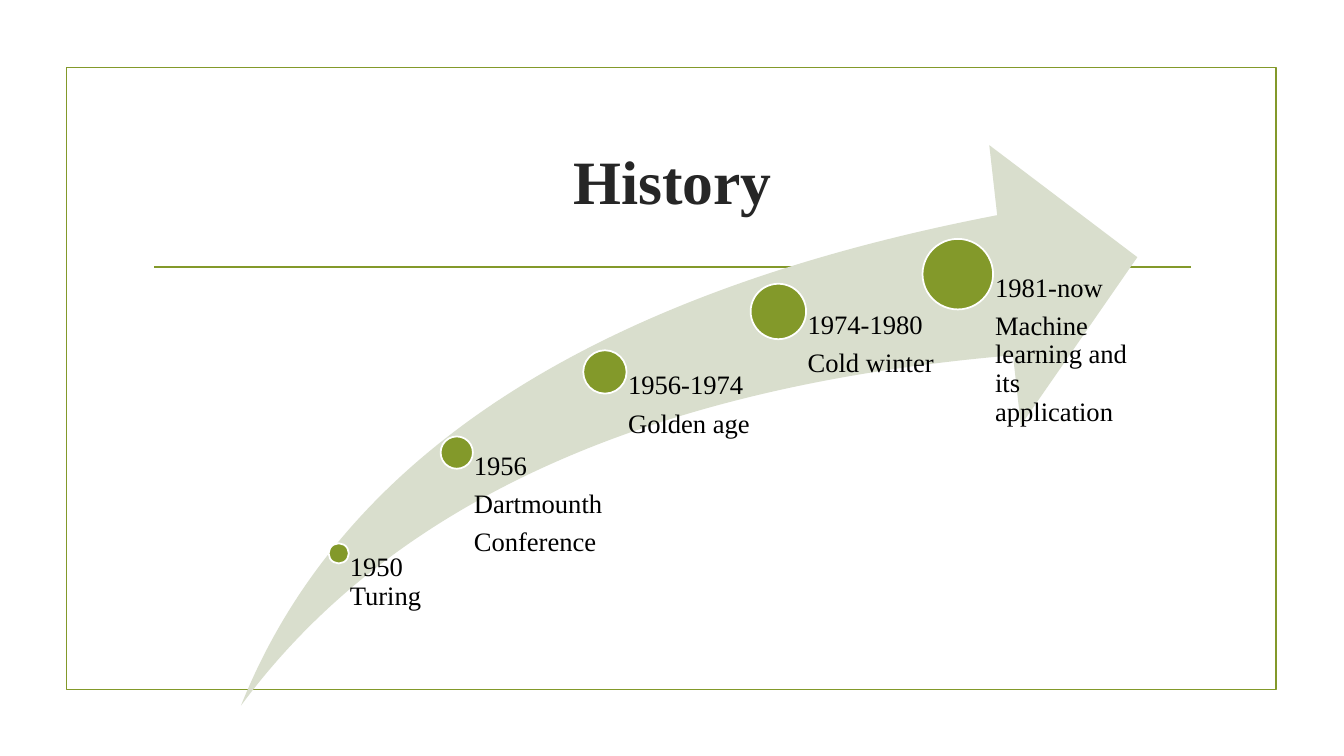
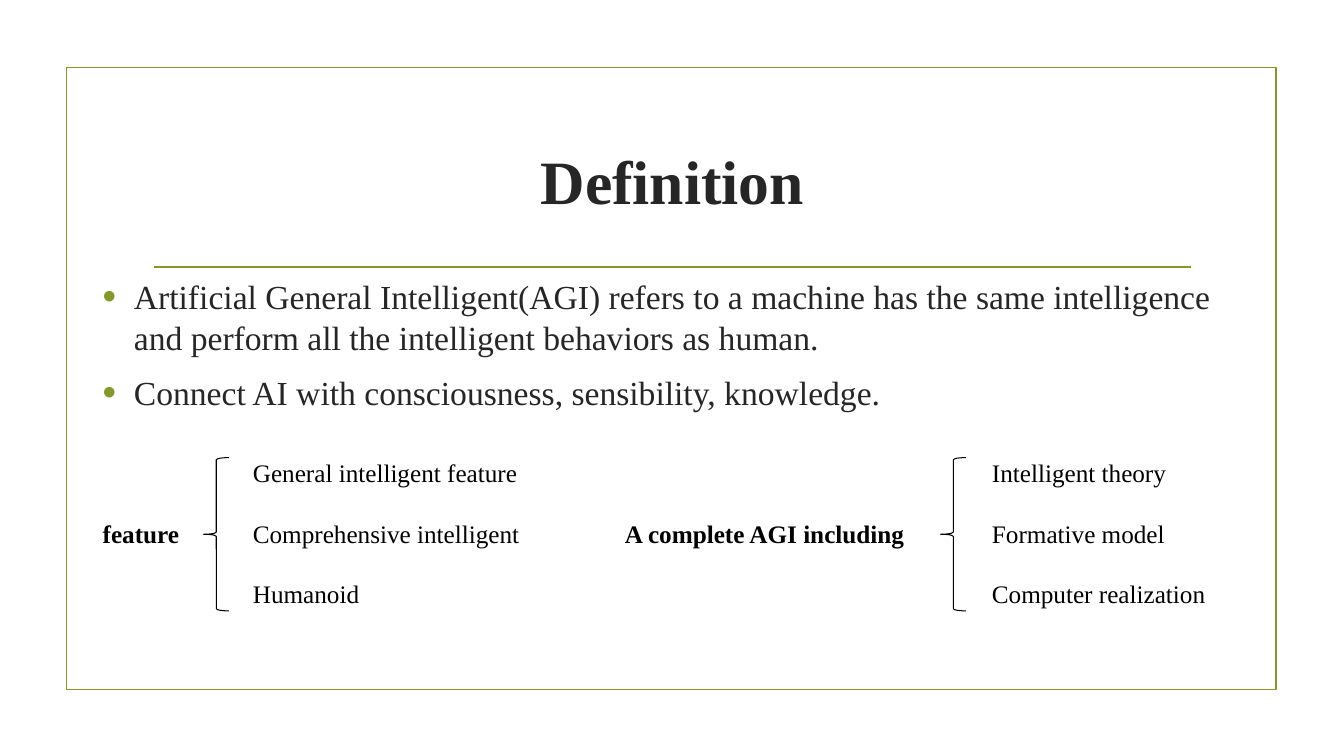
"""Build two slides on artificial intelligence: its history and a definition."""
from lxml.etree import SubElement
from pptx import Presentation
from pptx.dml.color import RGBColor
from pptx.enum.shapes import MSO_CONNECTOR, MSO_SHAPE
from pptx.enum.text import MSO_ANCHOR, PP_ALIGN
from pptx.oxml.ns import qn
from pptx.util import Inches, Pt

FONT = "Times New Roman"
GREEN, PALE, INK, BLACK, WHITE = "83992A", "D9DECD", "262626", "000000", "FFFFFF"


def add_shape(s, kind, x, y, w, h, fill=None, line=None, weight=1.25):
    sp = s.shapes.add_shape(kind, Inches(x), Inches(y), Inches(w), Inches(h))
    sp.shadow.inherit = False
    for part, color in ((sp.fill, fill), (sp.line.fill, line)):
        if color:
            part.solid()
            part.fore_color.rgb = RGBColor.from_string(color)
        else:
            part.background()
    if line:
        sp.line.width = Pt(weight)
    return sp


def add_text(s, x, y, w, h, lines, size, color=BLACK, bold=False, after=0):
    tf = s.shapes.add_textbox(Inches(x), Inches(y), Inches(w), Inches(h)).text_frame
    tf.word_wrap = True
    for i, line in enumerate(lines):
        p = tf.add_paragraph() if i else tf.paragraphs[0]
        p.space_after = Pt(after)
        r = p.add_run()
        r.text = line
        r.font.name, r.font.size, r.font.bold = FONT, Pt(size), bold
        r.font.color.rgb = RGBColor.from_string(color)
    return tf


prs = Presentation()
prs.slide_width, prs.slide_height = Inches(13.33), Inches(7.5)

slides = []
for title in ("History", "Definition"):
    s = prs.slides.add_slide(prs.slide_layouts[6])
    add_shape(s, MSO_SHAPE.RECTANGLE, 0.66, 0.67, 12, 6.17, line=GREEN)
    rule = s.shapes.add_connector(
        MSO_CONNECTOR.STRAIGHT, Inches(1.53), Inches(2.65), Inches(11.81), Inches(2.65))
    rule.line.color.rgb = RGBColor.from_string(GREEN)
    rule.line.width = Pt(1.25)
    SubElement(rule.element.spPr, qn("a:effectLst"))
    tf = add_text(s, 1.42, 1.07, 10.5, 1.43, [title], 44, INK, True)
    tf.vertical_anchor = MSO_ANCHOR.MIDDLE
    tf.paragraphs[0].alignment = PP_ALIGN.CENTER
    slides.append(s)
history, definition = slides

swoosh = add_shape(history, MSO_SHAPE.SWOOSH_ARROW, 2.39, 1.44, 8.89, 5.56, PALE)
swoosh.adjustments[0] = swoosh.adjustments[1] = 0.25

LABEL_BOTTOM = 6.81
milestones = [
    (3.36, 5.49, 0.2, 1.16, 0.11, ["1950 Turing"]),
    (4.53, 4.49, 0.32, 1.48, 0.17, ["1956", "Dartmounth", "Conference"]),
    (6, 3.69, 0.43, 1.72, 0.23, ["1956-1974", "Golden age"]),
    (7.72, 3.09, 0.55, 1.78, 0.29, ["1974-1980", "Cold winter"]),
    (9.5, 2.72, 0.7, 1.78, 0.37, ["1981-now", "Machine learning and its application"]),
]
for x, y, dot, width, inset, lines in milestones:
    add_shape(history, MSO_SHAPE.OVAL, x - dot / 2, y - dot / 2, dot, dot, GREEN, WHITE)
    tf = add_text(history, x, y, width, LABEL_BOTTOM - y, lines, 19, after=6.65)
    tf.margin_left = Inches(inset)
    tf.margin_top = tf.margin_right = tf.margin_bottom = 0
    for p in tf.paragraphs:
        p.line_spacing = 0.9

points = [
    "Artificial General Intelligent(AGI) refers to a machine has the same intelligence "
    "and perform all the intelligent behaviors as human.",
    "Connect AI with consciousness, sensibility, knowledge.",
]
tf = add_text(definition, 0.92, 2.69, 11.5, 1.62, points, 24, INK, after=6)
for p in tf.paragraphs:
    p.space_before = Pt(4.8)
    pPr = p._p.get_or_add_pPr()
    pPr.set("marL", str(Inches(0.31)))
    pPr.set("indent", str(-Inches(0.31)))
    SubElement(SubElement(pPr, qn("a:buClr")), qn("a:srgbClr"), val=GREEN)
    SubElement(pPr, qn("a:buSzPct"), val="115000")
    SubElement(pPr, qn("a:buFont"), typeface="Arial")
    SubElement(pPr, qn("a:buChar"), char="•")

groups = [
    (0.92, 1.04, "feature", 2.02, 2.41,
     ["General intelligent feature", "Comprehensive intelligent", "Humanoid"]),
    (6.1, 3.23, "A complete AGI including", 9.33, 9.74,
     ["Intelligent theory", "Formative model", "Computer realization"]),
]
for x, width, heading, brace_x, list_x, items in groups:
    add_shape(definition, MSO_SHAPE.LEFT_BRACE, brace_x, 4.54, 0.25, 1.52,
              line=BLACK, weight=0.75)
    add_text(definition, x, 5.09, width, 0.4, [heading], 18, bold=True)
    add_text(definition, list_x, 4.49, 3.2, 1.62, items, 18, after=21.5)

prs.save("out.pptx")
